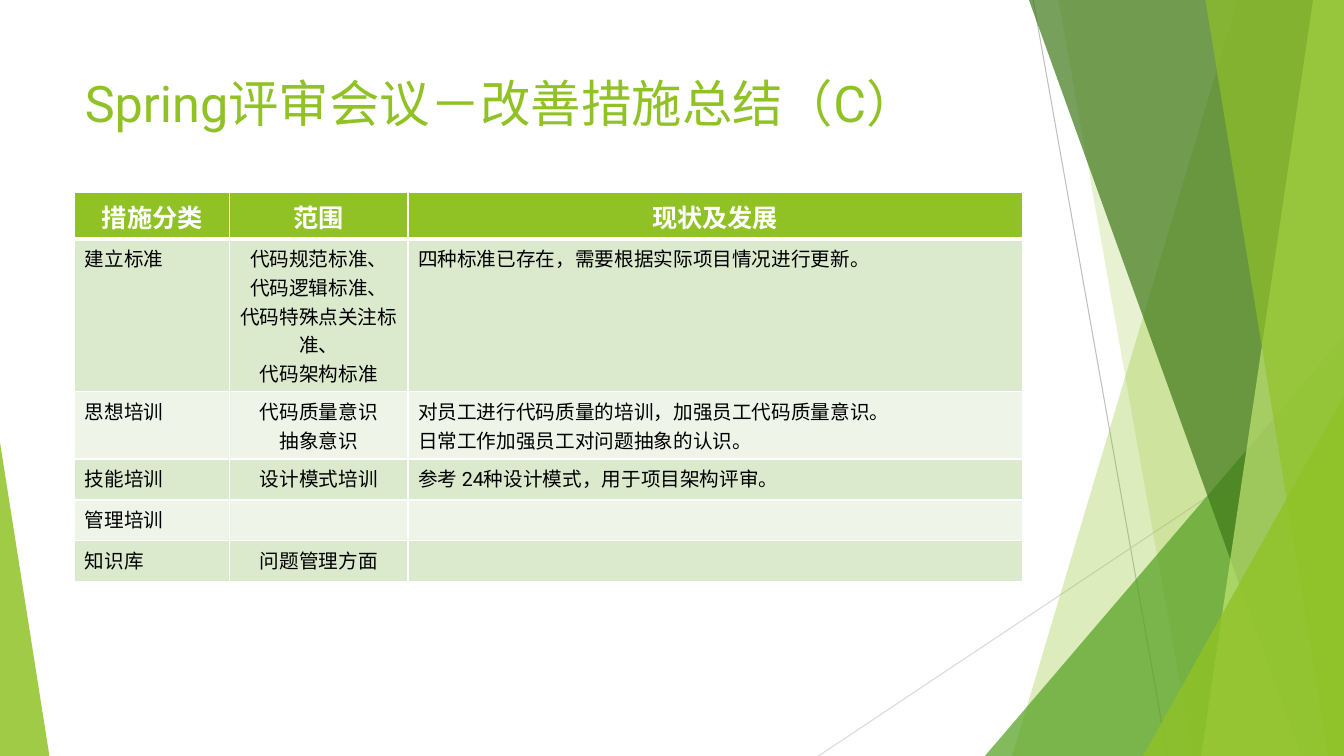
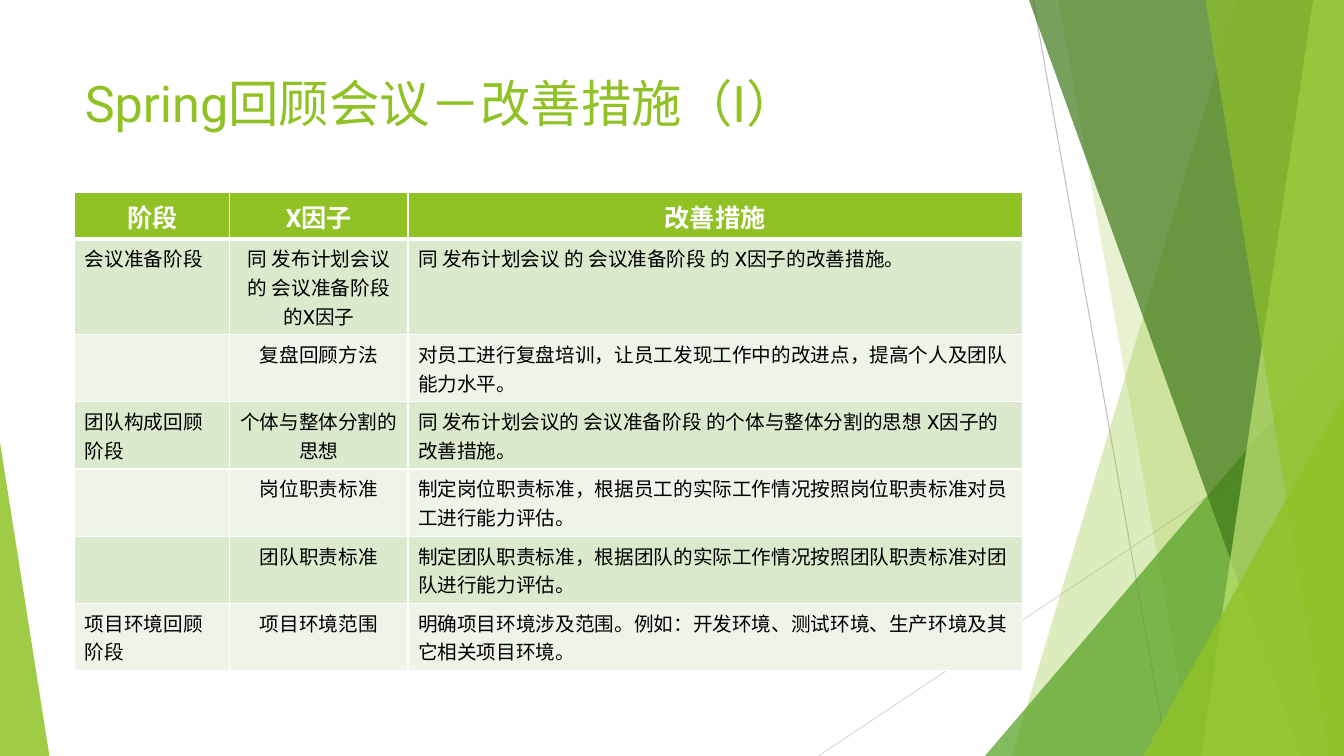
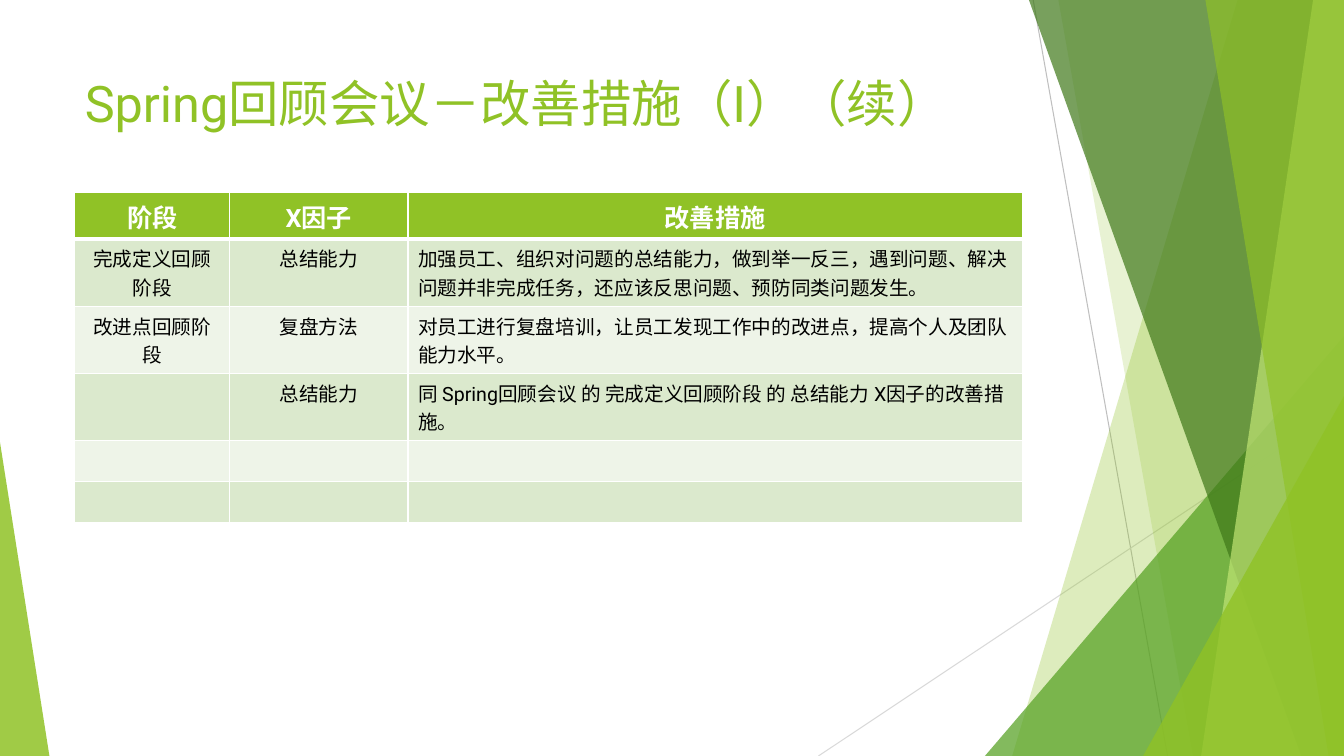
from math import ceil

from lxml import etree
from pptx import Presentation
from pptx.dml.color import RGBColor
from pptx.enum.shapes import MSO_CONNECTOR, MSO_SHAPE
from pptx.enum.text import MSO_ANCHOR, PP_ALIGN
from pptx.oxml.ns import qn
from pptx.util import Pt

LEFT, CENTER = PP_ALIGN.LEFT, PP_ALIGN.CENTER
TOP, MIDDLE = MSO_ANCHOR.TOP, MSO_ANCHOR.MIDDLE
STRAIGHT = MSO_CONNECTOR.STRAIGHT
TRIANGLE = MSO_SHAPE.ISOSCELES_TRIANGLE

GREEN = RGBColor(0x90, 0xC2, 0x26)
LEAF = RGBColor(0x54, 0xA0, 0x21)
FOREST = RGBColor(0x3F, 0x78, 0x19)
LIME = RGBColor(0xC0, 0xE4, 0x74)
GREY = RGBColor(0xBF, 0xBF, 0xBF)
PALE_GREY = RGBColor(0xD9, 0xD9, 0xD9)
WHITE = RGBColor(0xFF, 0xFF, 0xFF)
BLACK = RGBColor(0, 0, 0)
ROW_FILLS = (RGBColor(0xDB, 0xE9, 0xCD), RGBColor(0xEE, 0xF4, 0xE8))

WIDTH, HEIGHT = 960, 540
CONTENT_LEFT, CONTENT_WIDTH = 53.5, 676.7
COLUMN_WIDTHS = (110.5, 127.5, 438.7)
TABLE_TOP, HEADER_HEIGHT, MIN_ROW_HEIGHT = 137.7, 33, 29.2
BODY_SIZE, LINE_HEIGHT = 14, 20.4
SIDE_MARGINS, END_MARGINS = 14.4, 7.2
THIN, THICK = 1, 3

TITLE_FONT = {"name": "Roboto", "size": Pt(36), "bold": False}
HEADER_FONT = {"name": "Roboto", "size": Pt(18), "bold": True}
BODY_FONT = {"name": "Roboto", "size": Pt(BODY_SIZE), "bold": False}

PHASE_HEADER = ("阶段", "X因子", "改善措施")

REVIEW_ROWS = (
    ("措施分类", "范围", "现状及发展"),
    ("建立标准",
     "代码规范标准、\n代码逻辑标准、\n代码特殊点关注标准、\n代码架构标准",
     "四种标准已存在，需要根据实际项目情况进行更新。"),
    ("思想培训", "代码质量意识\n抽象意识",
     "对员工进行代码质量的培训，加强员工代码质量意识。\n"
     "日常工作加强员工对问题抽象的认识。"),
    ("技能培训", "设计模式培训", "参考 24种设计模式，用于项目架构评审。"),
    ("管理培训", "", ""),
    ("知识库", "问题管理方面", ""),
)

RETROSPECTIVE_ROWS = (
    PHASE_HEADER,
    ("会议准备阶段", "同 发布计划会议 的 会议准备阶段的X因子",
     "同 发布计划会议 的 会议准备阶段 的 X因子的改善措施。"),
    ("", "复盘回顾方法",
     "对员工进行复盘培训，让员工发现工作中的改进点，提高个人及团队能力水平。"),
    ("团队构成回顾阶段", "个体与整体分割的思想",
     "同 发布计划会议的 会议准备阶段 的个体与整体分割的思想 X因子的改善措施。"),
    ("", "岗位职责标准",
     "制定岗位职责标准，根据员工的实际工作情况按照岗位职责标准对员工进行能力评估。"),
    ("", "团队职责标准",
     "制定团队职责标准，根据团队的实际工作情况按照团队职责标准对团队进行能力评估。"),
    ("项目环境回顾阶段", "项目环境范围",
     "明确项目环境涉及范围。例如：开发环境、测试环境、生产环境及其它相关项目环境。"),
)

CONTINUED_ROWS = (
    PHASE_HEADER,
    ("完成定义回顾阶段", "总结能力",
     "加强员工、组织对问题的总结能力，做到举一反三，遇到问题、解决问题并非完成任务，"
     "还应该反思问题、预防同类问题发生。"),
    ("改进点回顾阶段", "复盘方法",
     "对员工进行复盘培训，让员工发现工作中的改进点，提高个人及团队能力水平。"),
    ("", "总结能力",
     "同 Spring回顾会议 的 完成定义回顾阶段 的 总结能力 X因子的改善措施。"),
    ("", "", ""),
    ("", "", ""),
)


def write_text(frame, text, font_values, color, align=LEFT):
    frame.text = text
    for para in frame.paragraphs:
        para.alignment = align
        for span in para.runs:
            for name, value in font_values.items():
                setattr(span.font, name, value)
            span.font.color.rgb = color


def paint(shape, color, opacity):
    """Fill without outline or shadow; opacity is a percentage."""
    shape.shadow.inherit = False
    shape.line.fill.background()
    shape.fill.solid()
    shape.fill.fore_color.rgb = color
    tint = shape._element.spPr.find(qn("a:solidFill"))[0]
    etree.SubElement(tint, qn("a:alpha"), val=str(opacity * 1000))


def add_thin_line(page, start, end, color):
    line = page.shapes.add_connector(STRAIGHT, *map(Pt, start + end))
    line.line.color.rgb = color
    line.line.width = Pt(0.75)
    etree.SubElement(line._element.spPr, qn("a:effectLst"))


def add_side_band(page, top_x, bottom_x, color, opacity):
    """Full-height band from a slanted edge to the right side of the slide."""
    outline = page.shapes.build_freeform(Pt(top_x), 0)
    corners = ((WIDTH, 0), (WIDTH, HEIGHT), (bottom_x, HEIGHT))
    outline.add_line_segments([(Pt(x), Pt(y)) for x, y in corners])
    paint(outline.convert_to_shape(), color, opacity)


def add_corner(page, left, top, width, apex, color, opacity):
    """Right triangle standing on the bottom edge; apex is 0 (left) or 1 (right)."""
    corner = page.shapes.add_shape(
        TRIANGLE, Pt(left), Pt(top), Pt(width), Pt(HEIGHT - top))
    corner.adjustments[0] = apex
    paint(corner, color, opacity)


def add_backdrop(page):
    add_thin_line(page, (738, 0), (834, HEIGHT), GREY)
    add_thin_line(page, (WIDTH, 290), (584.6, HEIGHT), PALE_GREY)
    add_side_band(page, 884, 723, GREEN, 30)
    add_side_band(page, 756, 852, GREEN, 20)
    add_corner(page, 703.5, 240, 256.5, 1, LEAF, 72)
    add_side_band(page, 735, 929.5, FOREST, 70)
    add_side_band(page, 938, 858, LIME, 70)
    add_side_band(page, 861, 949, GREEN, 65)
    add_corner(page, 816.5, 283, 143.5, 1, GREEN, 80)
    add_corner(page, 0, 316, 35.3, 0, GREEN, 85)


def add_title(page, text):
    box = page.shapes.add_textbox(
        Pt(CONTENT_LEFT), Pt(48), Pt(CONTENT_WIDTH), Pt(104))
    box.text_frame.word_wrap = True
    write_text(box.text_frame, text, TITLE_FONT, GREEN)


def set_borders(cell, top, bottom):
    properties = cell._tc.get_or_add_tcPr()
    for side, width in (("L", THIN), ("R", THIN), ("T", top), ("B", bottom)):
        border = etree.SubElement(properties, qn("a:ln" + side), w=str(Pt(width)))
        fill = etree.SubElement(border, qn("a:solidFill"))
        etree.SubElement(fill, qn("a:srgbClr"), val=str(WHITE))


def fill_cell(cell, text, row, align, anchor):
    is_header = row == 0
    set_borders(cell, THICK if row == 1 else THIN, THICK if is_header else THIN)
    cell.fill.solid()
    cell.fill.fore_color.rgb = GREEN if is_header else ROW_FILLS[(row - 1) % 2]
    cell.vertical_anchor = anchor
    if is_header:
        write_text(cell.text_frame, text, HEADER_FONT, WHITE, CENTER)
    elif text:
        write_text(cell.text_frame, text, BODY_FONT, BLACK, align)


def count_lines(text, width):
    """Lines that full-width characters take in a column of this width."""
    per_line = (width - SIDE_MARGINS) // BODY_SIZE
    return sum(ceil(len(part) / per_line) for part in text.split("\n"))


def body_row_height(texts):
    lines = max(map(count_lines, texts, COLUMN_WIDTHS))
    return max(MIN_ROW_HEIGHT, lines * LINE_HEIGHT + END_MARGINS)


def add_measures_table(page, rows, center_first):
    heights = [HEADER_HEIGHT] + [body_row_height(texts) for texts in rows[1:]]
    frame = page.shapes.add_table(
        len(rows), len(COLUMN_WIDTHS), Pt(CONTENT_LEFT), Pt(TABLE_TOP),
        Pt(CONTENT_WIDTH), Pt(sum(heights)))
    table = frame.table
    table.horz_banding = False
    for column, width in zip(table.columns, COLUMN_WIDTHS):
        column.width = Pt(width)
    aligns = (CENTER if center_first else LEFT, CENTER, LEFT)
    for row, texts in enumerate(rows):
        table.rows[row].height = Pt(heights[row])
        for column, text in enumerate(texts):
            centered = center_first and row > 0 and column == 0
            fill_cell(table.cell(row, column), text, row, aligns[column],
                      MIDDLE if centered else TOP)


def add_page(deck, title, rows, center_first=False):
    page = deck.slides.add_slide(deck.slide_layouts[6])
    add_backdrop(page)
    add_title(page, title)
    add_measures_table(page, rows, center_first)


def main():
    deck = Presentation()
    deck.slide_width, deck.slide_height = Pt(WIDTH), Pt(HEIGHT)
    add_page(deck, "Spring评审会议－改善措施总结（C）", REVIEW_ROWS)
    add_page(deck, "Spring回顾会议－改善措施（I）", RETROSPECTIVE_ROWS)
    add_page(deck, "Spring回顾会议－改善措施（I）（续）", CONTINUED_ROWS, center_first=True)
    deck.save("out.pptx")


if __name__ == "__main__":
    main()
